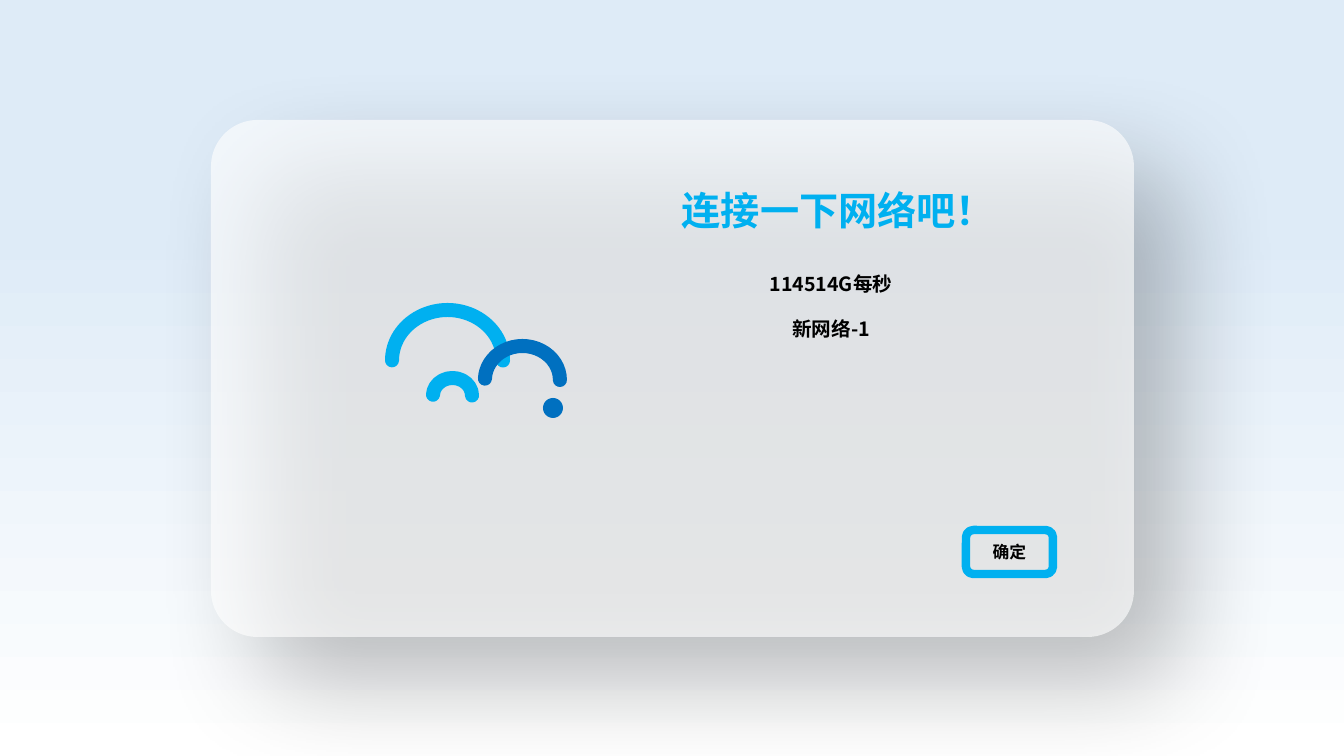
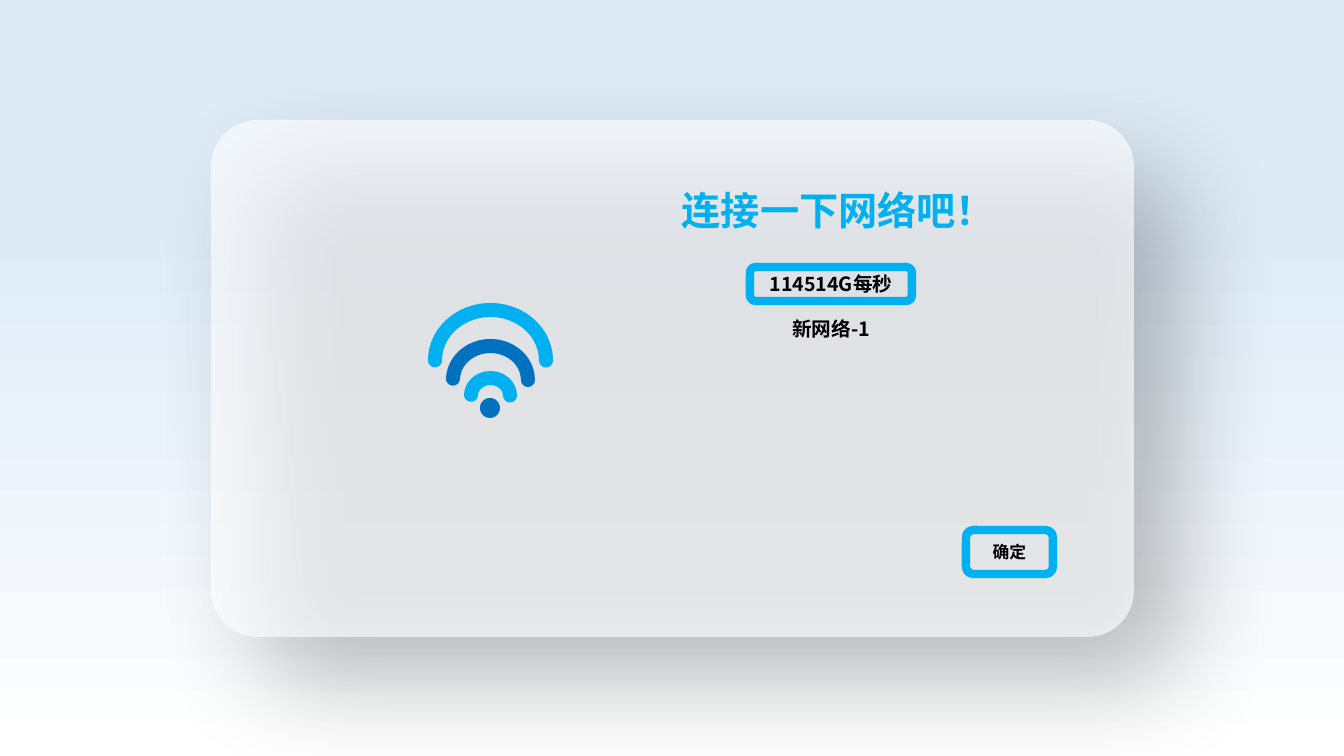
"""Build two slides of a network connection dialog."""
from lxml import etree
from pptx import Presentation
from pptx.dml.color import RGBColor
from pptx.enum.shapes import MSO_SHAPE
from pptx.enum.text import MSO_ANCHOR, MSO_AUTO_SIZE, PP_ALIGN
from pptx.oxml.ns import qn
from pptx.util import Pt

ROUNDED = MSO_SHAPE.ROUNDED_RECTANGLE
ARC = MSO_SHAPE.ARC
OVAL = MSO_SHAPE.OVAL
LEFT, CENTER = PP_ALIGN.LEFT, PP_ALIGN.CENTER
MIDDLE = MSO_ANCHOR.MIDDLE
FIT_SHAPE = MSO_AUTO_SIZE.SHAPE_TO_FIT_TEXT

SLIDE_WIDTH, SLIDE_HEIGHT = 1344, 756
SCALE = 12192000 / SLIDE_WIDTH
FONT = "Noto Sans CJK SC"
COLORS = {
    "white": "FFFFFF",
    "sky": "DEEBF7",
    "accent": "00B0F0",
    "deep": "0070C0",
    "black": "000000",
}
ARCS = [
    (310, 111, 101, 108.09, "accent"),
    (346, 75, 68, 109.23, "deep"),
    (378, 39, 35, 109.23, "accent"),
]
DOT_TOP, DOT_SIZE = 398, 20
OPTIONS = ["114514G每秒", "新网络-1"]
OPTION_TOP, OPTION_STEP, OPTION_HEIGHT = 267, 45, 34


def px(length):
    return round(length * SCALE)


def color(name):
    return RGBColor.from_string(COLORS[name])


def add_shape(page, kind, area, fill=None, line=None, width=0):
    box = page.shapes.add_shape(kind, *map(px, area))
    box.shadow.inherit = False
    if fill:
        box.fill.solid()
        box.fill.fore_color.rgb = color(fill)
    else:
        box.fill.background()
    if line:
        box.line.color.rgb = color(line)
        box.line.width = Pt(width)
    else:
        box.line.fill.background()
    return box


def write_text(box, text, size, fill="black", align=CENTER):
    para = box.text_frame.paragraphs[0]
    para.alignment = align
    span = para.add_run()
    span.text = text
    span.font.size = Pt(size)
    span.font.bold = True
    span.font.color.rgb = color(fill)
    span.font.name = FONT
    etree.SubElement(span.font._element, qn("a:ea"), typeface=FONT)


def add_label(page, area, text, size, wrap=True, **style):
    box = page.shapes.add_textbox(*map(px, area))
    box.text_frame.word_wrap = wrap
    box.text_frame.auto_size = FIT_SHAPE
    write_text(box, text, size, **style)


def add_background(page):
    fill = page.background.fill
    fill.gradient()
    fill.gradient_angle = 90
    for stop, (position, name) in zip(
        fill.gradient_stops, [(0, "white"), (0.7, "sky")]
    ):
        stop.position = position
        stop.color.rgb = color(name)


def add_alpha(parent, percent):
    etree.SubElement(parent, qn("a:alpha"), val=str(percent * 1000))


def add_card(page):
    card = add_shape(page, ROUNDED, (211, 120, 923, 517), fill="white")
    card.adjustments[0] = 0.09
    properties = card._element.spPr
    add_alpha(properties.find(qn("a:solidFill"))[0], 63)
    shadow = etree.SubElement(
        properties.find(qn("a:effectLst")), qn("a:outerShdw"),
        blurRad=str(Pt(76)), dist=str(Pt(47)), dir=str(45 * 60000),
        algn="tl", rotWithShape="0",
    )
    tint = etree.SubElement(shadow, qn("a:srgbClr"), val=COLORS["black"])
    add_alpha(tint, 40)


def add_frame(page, area):
    return add_shape(page, ROUNDED, area, line="accent", width=6)


def add_signal(page, centers):
    *arc_centers, dot_center = centers
    for center, (top, width, height, start, name) in zip(arc_centers, ARCS):
        area = (center - width // 2, top, width, height)
        arc = add_shape(page, ARC, area, line=name, width=10)
        arc.adjustments[0] = start
        arc.adjustments[1] = 0
        arc._element.spPr.find(qn("a:ln")).set("cap", "rnd")
    dot_left = dot_center - DOT_SIZE // 2
    add_shape(page, OVAL, (dot_left, DOT_TOP, DOT_SIZE, DOT_SIZE), fill="deep")


def add_dialog(deck, signal_centers):
    page = deck.slides.add_slide(deck.slide_layouts[6])
    add_background(page)
    add_card(page)
    add_label(page, (672, 181, 337, 57), "连接一下网络吧！", 28,
              wrap=False, fill="accent", align=LEFT)
    for index, option in enumerate(OPTIONS):
        top = OPTION_TOP + index * OPTION_STEP
        add_label(page, (726, top, 210, OPTION_HEIGHT), option, 14)
    button = add_frame(page, (966, 530, 87, 44))
    button.text_frame.vertical_anchor = MIDDLE
    write_text(button, "确定", 12)
    add_signal(page, signal_centers)
    return page


def main():
    deck = Presentation()
    deck.slide_width, deck.slide_height = px(SLIDE_WIDTH), px(SLIDE_HEIGHT)
    add_dialog(deck, [447, 522, 452, 553])
    selected = add_dialog(deck, [490] * 4)
    add_frame(selected, (750, OPTION_TOP, 162, OPTION_HEIGHT))
    deck.save("out.pptx")


if __name__ == "__main__":
    main()
